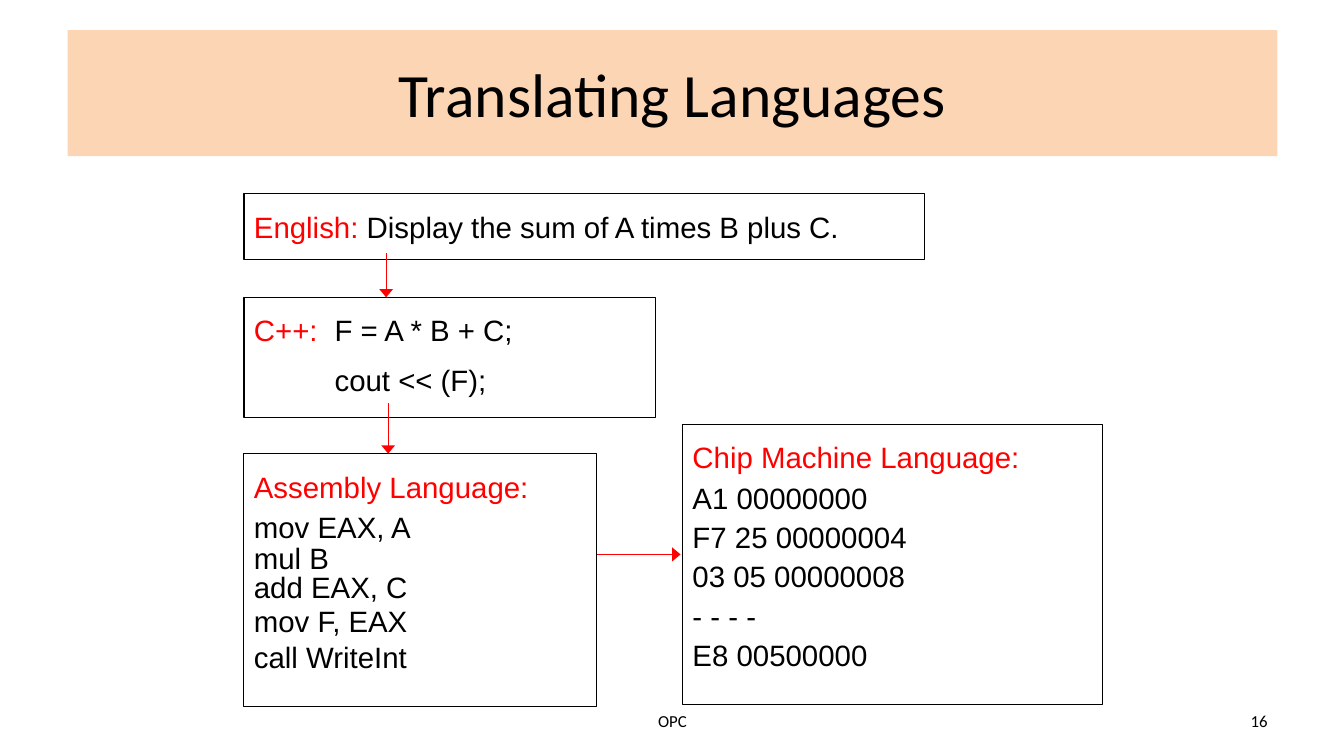
from lxml import etree
from pptx import Presentation
from pptx.dml.color import RGBColor
from pptx.enum.shapes import MSO_CONNECTOR as Connector, MSO_SHAPE as Shape
from pptx.enum.text import MSO_ANCHOR as Anchor, PP_ALIGN as Align
from pptx.oxml.ns import qn
from pptx.util import Inches, Pt

BLACK, RED, PEACH = "000000", "FF0000", "FCD5B5"


def color(value):
    return RGBColor.from_string(value)


class SlideBuilder:
    heading_font, body_font = "Calibri", "Arial"
    body_size, paragraph_gap, line_width = Pt(21), Pt(10.5), Pt(0.75)

    def __init__(self, page):
        self.page = page

    def style(self, font, name, size, ink=BLACK):
        font.name, font.size, font.bold = name, size, False
        font.color.rgb = color(ink)

    def title(self, text, left, top, width, height):
        box = self.page.shapes.title
        box.left, box.top, box.width, box.height = map(Inches, (left, top, width, height))
        box.fill.solid()
        box.fill.fore_color.rgb = color(PEACH)
        frame = box.text_frame
        frame.text, frame.vertical_anchor = text, Anchor.MIDDLE
        para = frame.paragraphs[0]
        para.alignment = Align.CENTER
        self.style(para.font, self.heading_font, Pt(44))

    def code_box(self, left, top, width, height, label, first_text="", lines=(), indent=0):
        """Outlined box: red label, then (text, line spacing) pairs."""
        box = self.page.shapes.add_shape(
            Shape.RECTANGLE, *map(Inches, (left, top, width, height)))
        box.shadow.inherit = False
        box.fill.background()
        box.line.color.rgb = color(BLACK)
        box.line.width = self.line_width
        frame = box.text_frame
        frame.word_wrap, frame.vertical_anchor = True, Anchor.TOP
        frame.margin_left = frame.margin_right = Inches(0.1)
        frame.margin_top = frame.margin_bottom = Inches(0.15)

        para = frame.paragraphs[0]
        para.alignment = Align.LEFT
        if indent:
            stops = etree.SubElement(para._p.get_or_add_pPr(), qn("a:tabLst"))
            etree.SubElement(stops, qn("a:tab"), pos=str(Inches(indent)), algn="l")
        for text, ink in ((label, RED), (first_text, BLACK)):
            if text:
                span = para.add_run()
                span.text = text
                self.style(span.font, self.body_font, self.body_size, ink)

        for text, spacing in lines:
            para = frame.add_paragraph()
            para.text, para.alignment = text, Align.LEFT
            para.line_spacing, para.space_before = spacing, self.paragraph_gap
            if indent:
                para._p.get_or_add_pPr().set("marL", str(Inches(indent)))
            self.style(para.font, self.body_font, self.body_size)

    def arrow(self, *ends):
        line = self.page.shapes.add_connector(Connector.STRAIGHT, *map(Inches, ends))
        line.line.color.rgb = color(RED)
        line.line.width = self.line_width
        etree.SubElement(line.line._get_or_add_ln(), qn("a:tailEnd"), type="triangle", w="lg")
        etree.SubElement(line._element.spPr, qn("a:effectLst"))

    def footer(self, text, left, width, alignment):
        box = self.page.shapes.add_textbox(*map(Inches, (left, 6.95, width, 0.4)))
        frame = box.text_frame
        frame.word_wrap, frame.vertical_anchor = True, Anchor.MIDDLE
        para = frame.paragraphs[0]
        para.text, para.alignment = text, alignment
        self.style(para.font, self.heading_font, Pt(12))


def main():
    deck = Presentation()
    deck.slide_width, deck.slide_height = Inches(13.33), Inches(7.5)
    slide = SlideBuilder(deck.slides.add_slide(deck.slide_layouts[5]))

    slide.title("Translating Languages", 0.67, 0.3, 12, 1.25)

    # Language levels
    slide.code_box(2.42, 1.92, 6.75, 0.66, "English: ",
                   "Display the sum of A times B plus C.")
    slide.code_box(2.42, 2.95, 4.08, 1.19, "C++:", "\tF = A * B + C;",
                   [("cout << (F);", 1.0)], indent=0.8)
    slide.code_box(2.42, 4.5, 3.5, 2.51, "Assembly Language:", lines=[
        ("mov EAX, A", 0.7), ("mul B", 0.4), ("add EAX, C", 0.4),
        ("mov F, EAX", 0.6), ("call WriteInt", 0.6)])
    machine_code = ("A1 00000000", "F7 25 00000004", "03 05 00000008",
                    "- - - -", "E8 00500000")
    slide.code_box(6.77, 4.21, 4.17, 2.78, "Chip Machine Language:",
                   lines=[(text, 0.7) for text in machine_code])

    # Translation steps
    for ends in ((3.83, 2.51, 3.83, 2.95), (3.85, 4, 3.85, 4.5), (5.92, 5.5, 6.75, 5.5)):
        slide.arrow(*ends)

    # Footer
    slide.footer("OPC", 4.56, 4.22, Align.CENTER)
    slide.footer("16", 9.56, 3.11, Align.RIGHT)

    deck.save("out.pptx")


if __name__ == "__main__":
    main()
